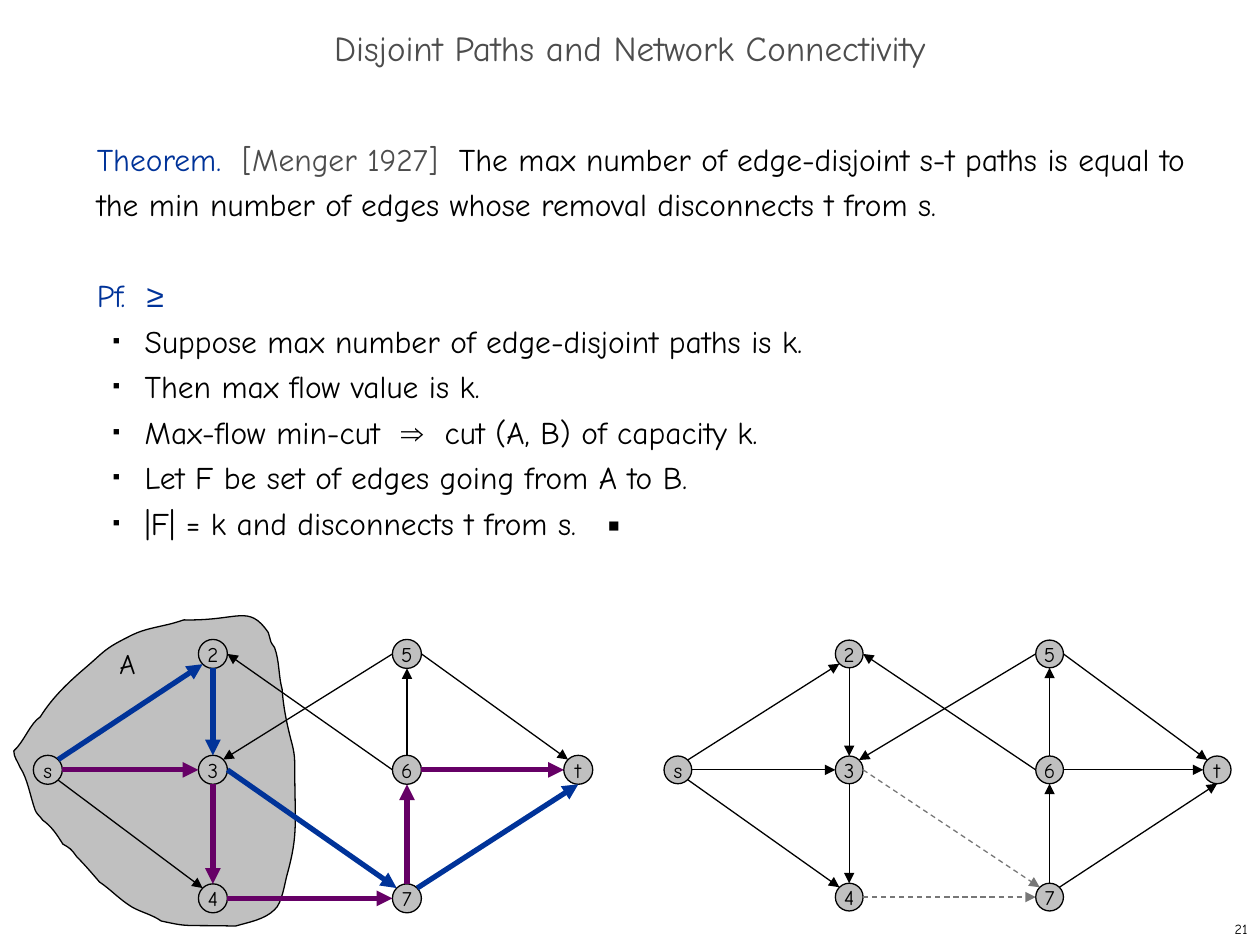
from lxml import etree
from pptx import Presentation
from pptx.dml.color import RGBColor
from pptx.enum.dml import MSO_LINE
from pptx.enum.shapes import MSO_CONNECTOR, MSO_SHAPE
from pptx.enum.text import MSO_ANCHOR, PP_ALIGN
from pptx.oxml.ns import qn
from pptx.util import Inches, Pt

STRAIGHT = MSO_CONNECTOR.STRAIGHT
OVAL = MSO_SHAPE.OVAL
DASH = MSO_LINE.DASH
MIDDLE = MSO_ANCHOR.MIDDLE
LEFT, CENTER, RIGHT = PP_ALIGN.LEFT, PP_ALIGN.CENTER, PP_ALIGN.RIGHT

THEME = {
    "font": "Comic Neue", "symbol_font": "Arial",
    "title_size": 20, "body_size": 18, "label_size": 16, "node_size": 12, "number_size": 8,
    "leading": 26, "thin": 0.75, "thick": 3,
    "black": "000000", "gray": "4D4D4D", "blue": "003399", "purple": "660066",
    "fill": "C0C0C0", "removed": "777777",
}

TITLE = "Disjoint Paths and Network Connectivity"
STATEMENTS = [
    [("Theorem.  ", "blue"), ("[Menger 1927]  ", "gray"),
     ("The max number of edge-disjoint s-t paths is equal to the min number of edges "
      "whose removal disconnects t from s.", "black")],
    [("Pf.  ", "blue"), ("≥", "blue")],
]
PROOF_STEPS = [
    ["Suppose max number of edge-disjoint paths is k."],
    ["Then max flow value is k."],
    ["Max-flow min-cut  ", "⇒", "  cut (A, B) of capacity k."],
    ["Let F be set of edges going from A to B."],
    ["|F| = k and disconnects t from s.   ▪"],
]
SYMBOLS = ("≥", "⇒")

# Node name -> (column, row)
NODES = {"s": (0, 1), "2": (1, 0), "3": (1, 1), "4": (1, 2),
         "5": (2, 0), "6": (2, 1), "7": (2, 2), "t": (3, 1)}
# Start node, side it leaves by, end node, side it enters by
EDGES = [
    ("s", "NE", "2", "SW"), ("s", "E", "3", "W"), ("s", "SE", "4", "NW"),
    ("2", "S", "3", "N"), ("3", "S", "4", "N"), ("3", "E", "7", "NW"),
    ("4", "E", "7", "W"), ("7", "N", "6", "S"), ("6", "N", "5", "S"),
    ("5", "E", "t", "NW"), ("6", "E", "t", "W"), ("7", "NE", "t", "S"),
    ("6", "W", "2", "E"), ("5", "W", "3", "NE"),
]
DIAGONAL = 0.71
SIDES = {"N": (0, -1), "S": (0, 1), "E": (1, 0), "W": (-1, 0),
         "NE": (DIAGONAL, -DIAGONAL), "NW": (-DIAGONAL, -DIAGONAL),
         "SE": (DIAGONAL, DIAGONAL), "SW": (-DIAGONAL, DIAGONAL)}
# Edge style: colour, width, dashed
PLAIN = ("black", "thin", False)
BLUE_PATH = ("blue", "thick", False)
PURPLE_PATH = ("purple", "thick", False)
REMOVED = ("removed", "thin", True)
GRAPHS = [
    {"columns": (0.38, 1.69, 3.23, 4.59), "rows": (5.19, 6.11, 7.13), "diameter": 0.23,
     "styles": {"s2": BLUE_PATH, "23": BLUE_PATH, "37": BLUE_PATH, "7t": BLUE_PATH,
                "s3": PURPLE_PATH, "34": PURPLE_PATH, "47": PURPLE_PATH,
                "76": PURPLE_PATH, "6t": PURPLE_PATH}},
    {"columns": (5.38, 6.74, 8.33, 9.66), "rows": (5.19, 6.11, 7.12), "diameter": 0.22,
     "styles": {"37": REMOVED, "47": REMOVED}},
]

# Outline of cut side A: a start point, then two control points and an end for each curve
CUT_START = (0.11, 5.96)
CUT_CURVES = [
    (0.19, 5.89, 0.24, 5.74, 0.32, 5.69), (0.42, 5.53, 0.55, 5.41, 0.69, 5.29),
    (0.83, 5.17, 0.83, 5.15, 1.01, 5.06), (1.12, 5, 1.19, 4.99, 1.32, 4.96),
    (1.37, 4.95, 1.46, 4.92, 1.46, 4.92), (1.9, 4.93, 1.97, 4.79, 2.13, 5.02),
    (2.16, 5.12, 2.14, 5.08, 2.18, 5.14), (2.22, 5.25, 2.21, 5.36, 2.24, 5.47),
    (2.25, 5.62, 2.28, 5.76, 2.32, 5.91), (2.33, 5.95, 2.34, 6, 2.34, 6.05),
    (2.34, 6.54, 2.37, 6.61, 2.28, 6.94), (2.26, 7.01, 2.24, 7.17, 2.18, 7.22),
    (2.1, 7.3, 1.97, 7.32, 1.87, 7.35), (1.44, 7.34, 1.51, 7.36, 1.28, 7.31),
    (1.21, 7.26, 1.12, 7.24, 1.05, 7.2), (0.95, 7.14, 0.88, 7.06, 0.79, 7),
    (0.73, 6.93, 0.67, 6.86, 0.61, 6.8), (0.6, 6.79, 0.59, 6.77, 0.58, 6.76),
    (0.56, 6.73, 0.5, 6.7, 0.5, 6.7), (0.45, 6.62, 0.41, 6.56, 0.34, 6.51),
    (0.32, 6.48, 0.29, 6.46, 0.28, 6.43), (0.24, 6.32, 0.22, 6.18, 0.16, 6.09),
    (0.14, 6.04, 0.11, 6.01, 0.11, 5.96),
]


def color(name):
    return RGBColor.from_string(THEME[name])


def add_run(paragraph, text, size, color_name="black"):
    run = paragraph.add_run()
    run.text = text
    run.font.name = THEME["symbol_font" if text in SYMBOLS else "font"]
    run.font.size = Pt(THEME[size])
    run.font.color.rgb = color(color_name)


def add_text_box(slide, box, wrap=True):
    frame = slide.shapes.add_textbox(*map(Inches, box)).text_frame
    frame.word_wrap = wrap
    return frame


def add_label(slide, box, text, size, color_name="black", align=LEFT, wrap=True):
    frame = add_text_box(slide, box, wrap)
    if wrap:
        frame.vertical_anchor = MIDDLE
    paragraph = frame.paragraphs[0]
    paragraph.alignment = align
    add_run(paragraph, text, size, color_name)
    return paragraph


def add_bullet(paragraph):
    paragraph.level = 1
    properties = paragraph._p.get_or_add_pPr()
    properties.set("marL", str(Inches(0.38)))
    properties.set("indent", str(Inches(-0.25)))
    bullet_color = etree.SubElement(properties, qn("a:buClr"))
    etree.SubElement(bullet_color, qn("a:srgbClr"), val=THEME["black"])
    etree.SubElement(properties, qn("a:buSzPct"), val="35000")
    etree.SubElement(properties, qn("a:buFont"), typeface=THEME["symbol_font"])
    etree.SubElement(properties, qn("a:buChar"), char="■")


def add_body(slide):
    frame = add_text_box(slide, (0.67, 1, 8.92, 5.92))
    steps = [[(text, "black") for text in step] for step in PROOF_STEPS]
    for index, runs in enumerate(STATEMENTS + steps):
        paragraph = frame.add_paragraph() if index else frame.paragraphs[0]
        if index >= len(STATEMENTS):
            add_bullet(paragraph)
        elif index:
            paragraph.space_before = Pt(THEME["leading"])
        paragraph.line_spacing = Pt(THEME["leading"])
        for text, color_name in runs:
            add_run(paragraph, text, "body_size", color_name)


def style_outlined(shape):
    shape.shadow.inherit = False
    shape.fill.solid()
    shape.fill.fore_color.rgb = color("fill")
    shape.line.color.rgb = color("black")
    shape.line.width = Pt(THEME["thin"])


def add_cut(slide):
    """Draw cut side A: lay out all curve points, then join each three into one curve."""
    points = [tuple(map(Inches, curve[i:i + 2])) for curve in CUT_CURVES for i in (0, 2, 4)]
    builder = slide.shapes.build_freeform(*map(Inches, CUT_START))
    builder.add_line_segments(points, close=True)
    cut = builder.convert_to_shape()
    segments = list(cut._element.iter(qn("a:lnTo")))
    for first, second, third in zip(segments[::3], segments[1::3], segments[2::3]):
        curve = etree.Element(qn("a:cubicBezTo"))
        first.addprevious(curve)
        for segment in (first, second, third):
            curve.append(segment[0])
            segment.getparent().remove(segment)
    style_outlined(cut)


def add_node(slide, name, center, diameter):
    left, top = (value - diameter / 2 for value in center)
    node = slide.shapes.add_shape(OVAL, *map(Inches, (left, top, diameter, diameter)))
    style_outlined(node)
    frame = node.text_frame
    frame.word_wrap = False
    frame.vertical_anchor = MIDDLE
    frame.paragraphs[0].alignment = CENTER
    add_run(frame.paragraphs[0], name, "node_size")


def add_arrow(slide, start, end, style):
    color_name, width, dashed = style
    arrow = slide.shapes.add_connector(STRAIGHT, *map(Inches, start + end))
    arrow.line.color.rgb = color(color_name)
    arrow.line.width = Pt(THEME[width])
    if dashed:
        arrow.line.dash_style = DASH
    etree.SubElement(arrow.line._get_or_add_ln(), qn("a:tailEnd"), type="triangle")
    etree.SubElement(arrow._element.spPr, qn("a:effectLst"))


def add_graph(slide, columns, rows, diameter, styles):
    centers = {name: (columns[column], rows[row]) for name, (column, row) in NODES.items()}

    def edge_point(name, side):
        return tuple(c + d * diameter / 2 for c, d in zip(centers[name], SIDES[side]))

    for name, center in centers.items():
        add_node(slide, name, center, diameter)
    for tail, tail_side, head, head_side in EDGES:
        add_arrow(slide, edge_point(tail, tail_side), edge_point(head, head_side),
                  styles.get(tail + head, PLAIN))


def main():
    presentation = Presentation()
    presentation.slide_width, presentation.slide_height = Inches(10), Inches(7.5)
    slide = presentation.slides.add_slide(presentation.slide_layouts[6])
    add_cut(slide)
    title = add_label(slide, (0, 0.17, 10, 0.5), TITLE, "title_size", "gray", CENTER)
    title.line_spacing = 0.7
    add_body(slide)
    for graph in GRAPHS:
        add_graph(slide, **graph)
    add_label(slide, (0.85, 5.08, 0.33, 0.37), "A", "label_size", wrap=False)
    add_label(slide, (7.92, 7.25, 2.08, 0.25), "21", "number_size", align=RIGHT)
    presentation.save("out.pptx")


if __name__ == "__main__":
    main()
